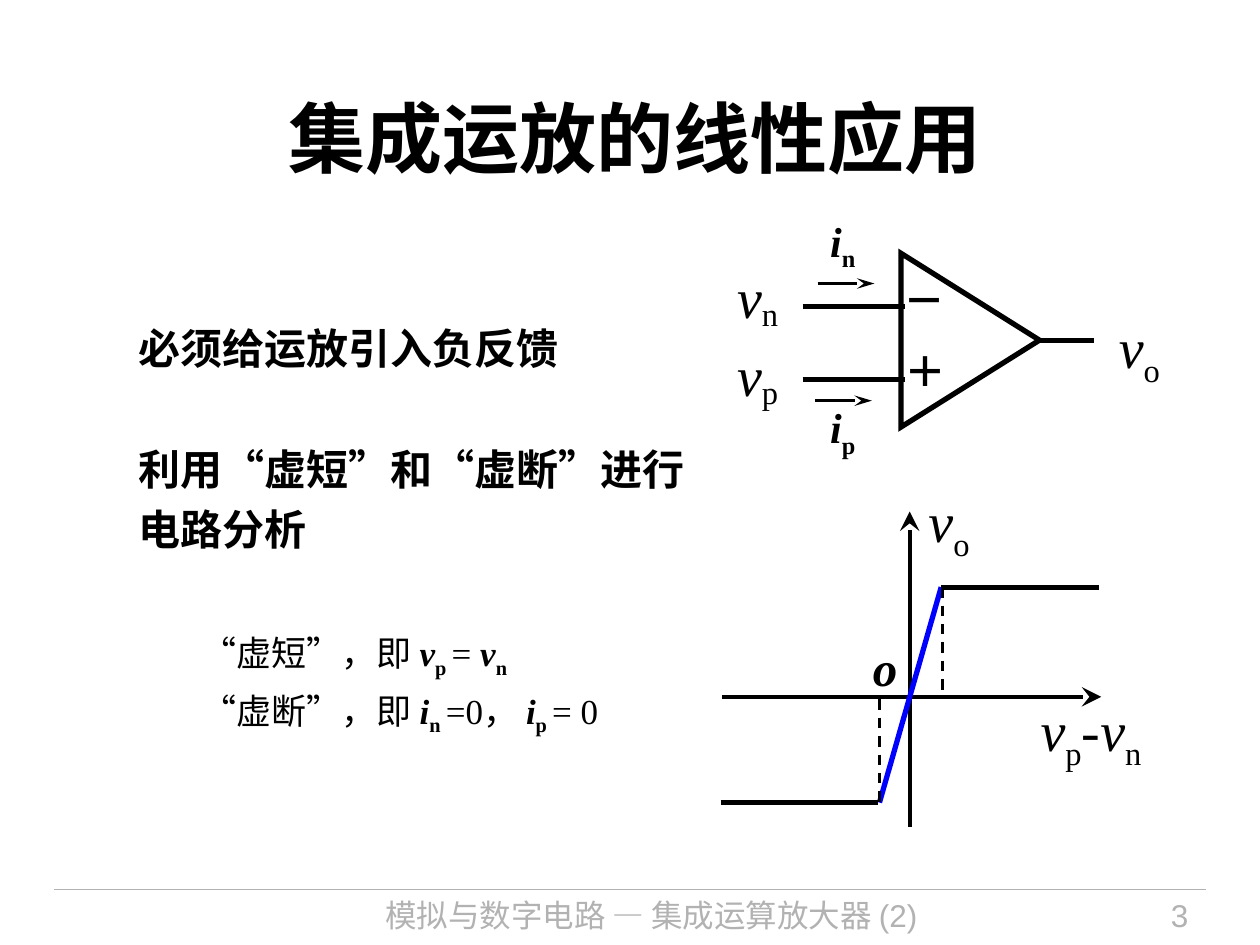
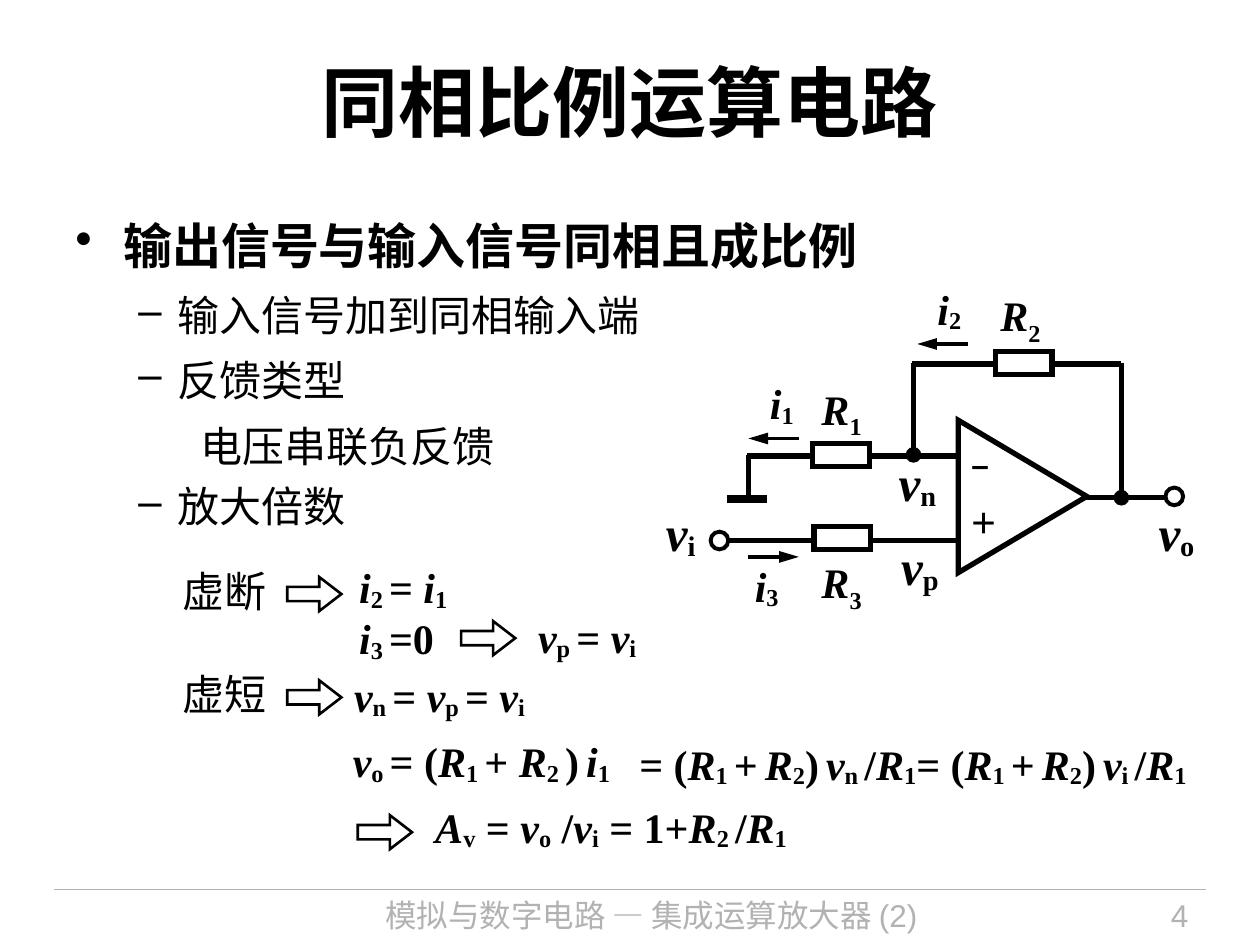
from lxml import etree
from pptx import Presentation
from pptx.dml.color import RGBColor
from pptx.enum.dml import MSO_LINE
from pptx.enum.shapes import MSO_CONNECTOR, MSO_SHAPE
from pptx.enum.text import MSO_ANCHOR, PP_ALIGN
from pptx.oxml.ns import qn
from pptx.util import Inches, Pt

LEFT, CENTER, RIGHT = PP_ALIGN.LEFT, PP_ALIGN.CENTER, PP_ALIGN.RIGHT
TOP, MIDDLE = MSO_ANCHOR.TOP, MSO_ANCHOR.MIDDLE
STRAIGHT, DASH = MSO_CONNECTOR.STRAIGHT, MSO_LINE.DASH
TRIANGLE, RECTANGLE = MSO_SHAPE.ISOSCELES_TRIANGLE, MSO_SHAPE.RECTANGLE
OVAL, RIGHT_ARROW = MSO_SHAPE.OVAL, MSO_SHAPE.RIGHT_ARROW

COLORS = {"ink": "000000", "gray": "B2B2B2", "blue": "0000FF", "paper": "FFFFFF"}
SANS, SERIF, CHINESE = "Arial", "Times New Roman", "Noto Sans CJK SC"
FOOTER = "模拟与数字电路 — 集成运算放大器 (2)"
FIRST_PAGE = 3


def color(name):
    return RGBColor.from_string(COLORS[name])


def add_element(parent, tag, **attributes):
    return etree.SubElement(parent, qn(tag), **attributes)


def write(paragraph, markup, size=24, font=SERIF, ink="ink", bold=False,
          symbol_bold=None, drop=-10, align=LEFT, line_spacing=None,
          before=0, after=0, margin=0, indent=0, bullet=None):
    """Write pieces parted by |, led by * italic, _ subscript, @ Chinese, ~ small."""
    paragraph.alignment = align
    paragraph.space_before, paragraph.space_after = Pt(before), Pt(after)
    if line_spacing:
        paragraph.line_spacing = line_spacing
    properties = paragraph._p.get_or_add_pPr()
    properties.set("marL", str(Inches(margin)))
    properties.set("indent", str(Inches(indent)))
    if bullet:
        add_element(properties, "a:buChar", char=bullet)
    for piece in markup.split("|"):
        mark = piece[0] if piece[0] in "*_@~" else ""
        run = paragraph.add_run()
        run.text = piece[len(mark):]
        run.font.size = Pt(size * 2 / 3 if mark == "~" else size)
        run.font.name = CHINESE if mark == "@" else font
        run.font.color.rgb = color(ink)
        is_symbol = mark in ("*", "_") and symbol_bold is not None
        run.font.bold = symbol_bold if is_symbol else bold
        run.font.italic = mark == "*"
        run_properties = run._r.get_or_add_rPr()
        if mark == "_":
            run_properties.set("baseline", str(drop * 1000))
        add_element(run_properties, "a:ea", typeface=CHINESE)


class Deck:
    def __init__(self):
        self.presentation = Presentation()
        self.presentation.slide_width = Inches(10)
        self.presentation.slide_height = Inches(7.5)
        self.slide = None

    def new_slide(self, title, title_left, title_top):
        slides = self.presentation.slides
        self.slide = slides.add_slide(self.presentation.slide_layouts[6])
        page = FIRST_PAGE + len(slides) - 1
        self.line(0.43, 7.06, 9.57, 7.06, width=0.75, ink="gray")
        footer_style = dict(size=18, font=SANS, ink="gray")
        self.text(2.49, 7.06, 5.36, 0.44, FOOTER, align=CENTER, **footer_style)
        self.text(8.2, 7.06, 1.33, 0.44, str(page), align=RIGHT, **footer_style)
        self.text(title_left, title_top, 9, 1.25, title, size=44, font=SANS,
                  bold=True, align=CENTER, anchor=MIDDLE)

    def frame(self, left, top, width, height, wrap=True, inset=True, anchor=TOP):
        box = self.slide.shapes.add_textbox(
            Inches(left), Inches(top), Inches(width), Inches(height))
        frame = box.text_frame
        frame.word_wrap = wrap
        frame.vertical_anchor = anchor
        if not inset:
            frame.margin_left = frame.margin_right = 0
            frame.margin_top = frame.margin_bottom = 0
        return frame

    def text(self, left, top, width, height, markup, wrap=True, inset=True,
             anchor=TOP, **style):
        frame = self.frame(left, top, width, height, wrap, inset, anchor)
        write(frame.paragraphs[0], markup, **style)
        return frame

    def label(self, left, top, width, height, markup, **style):
        """Text that fits its box closely, without insets."""
        return self.text(left, top, width, height, markup, wrap=False,
                         inset=False, **style)

    def body(self, left, top, width, height, paragraphs, **shared):
        frame = self.frame(left, top, width, height)
        for index, (markup, style) in enumerate(paragraphs):
            paragraph = frame.add_paragraph() if index else frame.paragraphs[0]
            write(paragraph, markup, **{**shared, **style})

    def line(self, x1, y1, x2, y2, width=3, ink="ink", dashed=False, head=None,
             tail=None, end_width="med", end_length="med"):
        connector = self.slide.shapes.add_connector(
            STRAIGHT, Inches(x1), Inches(y1), Inches(x2), Inches(y2))
        connector.line.width = Pt(width)
        connector.line.color.rgb = color(ink)
        if dashed:
            connector.line.dash_style = DASH
        outline = connector.line._get_or_add_ln()
        for tag, kind in (("a:headEnd", head), ("a:tailEnd", tail)):
            if kind:
                add_element(outline, tag, type=kind, w=end_width, len=end_length)
        add_element(connector._element.spPr, "a:effectLst")

    def shape(self, kind, left, top, width, height, line_width=3, fill=None,
              rotation=0, adjustments=()):
        shape = self.slide.shapes.add_shape(
            kind, Inches(left), Inches(top), Inches(width), Inches(height))
        shape.shadow.inherit = False
        shape.rotation = rotation
        for index, value in enumerate(adjustments):
            shape.adjustments[index] = value
        if fill:
            shape.fill.solid()
            shape.fill.fore_color.rgb = color(fill)
        else:
            shape.fill.background()
        shape.line.width = Pt(line_width)
        shape.line.color.rgb = color("ink")
        add_element(shape.line._get_or_add_ln(), "a:miter", lim="800000")

    def amplifier(self, left, top, width, height):
        self.shape(TRIANGLE, left, top, width, height, rotation=90)

    def resistor(self, left, top):
        self.shape(RECTANGLE, left, top, 0.45, 0.18, fill="paper")

    def terminal(self, left, top):
        self.shape(OVAL, left, top, 0.14, 0.14, line_width=2.25, fill="paper")

    def implies(self, left, top):
        self.shape(RIGHT_ARROW, left, top, 0.43, 0.27, line_width=1.5,
                   adjustments=(0.42, 0.65))


def linear_application(deck):
    deck.new_slide("集成运放的线性应用", 0.54, 0.46)
    condition = dict(size=20, bold=False, symbol_bold=True, drop=-25, margin=0.5)
    deck.body(1, 2.43, 4.58, 3.7, [
        ("@必须给运放引入负反馈", {}),
        ("@利用“虚短”和“虚断”进行电路分析", dict(before=34.5)),
        ("@“虚短”，即 |*v|_p |= |*v|_n", dict(before=39, **condition)),
        ("@“虚断”，即 |*i|_n |=0， |*i|_p |= 0", condition),
    ], bold=True, line_spacing=1.2)

    # Transfer characteristic
    axis = dict(width=2.25, tail="stealth", end_width="lg", end_length="lg")
    deck.line(7.22, 6.56, 7.22, 4.06, **axis)
    deck.line(5.73, 5.53, 8.74, 5.53, **axis)
    deck.line(7.47, 4.66, 6.98, 6.37, ink="blue")
    deck.line(7.47, 4.66, 8.72, 4.66)
    deck.line(5.72, 6.37, 6.97, 6.37)
    deck.line(6.98, 5.55, 6.98, 6.39, width=1.5, dashed=True)
    deck.line(7.48, 4.66, 7.48, 5.55, width=1.5, dashed=True)
    variable = dict(size=32, drop=-25)
    deck.text(8.16, 5.29, 1.25, 0.79, "*v|_p|-|*v|_n", line_spacing=1.3, **variable)
    deck.text(6.83, 5.01, 0.4, 0.57, "*o", size=28, bold=True, wrap=False)
    deck.text(7.27, 3.87, 0.72, 0.53, "*v|_o", line_spacing=0.8, **variable)

    # Operational amplifier
    for name, top, sign, sign_left, sign_top, sign_width, wire in (
            ("n", 1.97, "－", 6.98, 2.13, 0.72, 2.43),
            ("p", 2.59, "＋", 6.94, 2.69, 0.81, 3.01)):
        deck.label(5.85, top, 0.34, 0.64, f"*v|_{name}", size=32, drop=-15,
                   line_spacing=1.2)
        deck.label(sign_left, sign_top, sign_width, 0.5, sign, bold=True,
                   align=CENTER, anchor=MIDDLE)
        deck.line(6.37, wire, 7.18, wire)
    deck.label(8.88, 2.36, 0.34, 0.64, "*v|_o", line_spacing=1.2, **variable)
    deck.line(8.25, 2.7, 8.68, 2.7)
    deck.amplifier(7.01, 2.15, 1.38, 1.1)
    for name, top, x, y in (("n", 1.66, 6.49, 2.25), ("p", 3.14, 6.47, 3.18)):
        deck.text(6.49, top, 0.58, 0.5, f"*i|_{name}", bold=True, drop=-25)
        deck.line(x, y, x + 0.45, y, width=2, tail="stealth", end_length="lg")


def noninverting_circuit(deck):
    deck.new_slide("同相比例运算电路", 0.5, 0.17)
    item = dict(margin=0.81, indent=-0.31, bullet="–", after=8)
    deck.body(0.5, 1.66, 6.63, 5.32, [
        ("输出信号与输入信号同相且成比例",
         dict(size=28, bold=True, margin=0.38, indent=-0.38, bullet="•", after=9)),
        ("输入信号加到同相输入端", item),
        ("反馈类型", {**item, "after": 43.5}),
        ("放大倍数", item),
    ], font=SANS)

    # Wires, with junction dots at the feedback ends
    for wire in ((5.93, 3.62, 7.6, 3.62), (5.78, 4.29, 7.59, 4.29),
                 (8.62, 3.95, 9.25, 3.95), (5.94, 3.61, 5.94, 3.95),
                 (7.24, 2.89, 8.9, 2.89)):
        deck.line(*wire)
    deck.line(5.77, 3.96, 6.09, 3.96, width=4.5)
    deck.line(8.9, 2.88, 8.9, 3.95, tail="oval")
    deck.line(7.25, 2.88, 7.25, 3.61, tail="oval")
    deck.terminal(5.64, 4.22)
    deck.terminal(9.25, 3.87)

    for number, left, top, label_left, label_top in (
            (1, 6.45, 3.52, 6.52, 3.04), (2, 7.9, 2.79, 7.94, 2.3),
            (3, 6.46, 4.18, 6.52, 4.42)):
        deck.resistor(left, top)
        deck.label(label_left, label_top, 0.33, 0.4, f"*R|_{number}",
                   bold=True, drop=-25)
    for name, left, top, width in (("p", 7.13, 4.26, 0.32), ("n", 7.11, 3.59, 0.32),
                                   ("o", 9.18, 3.99, 0.3), ("i", 5.28, 3.99, 0.24)):
        deck.label(left, top, width, 0.47, f"*v|_{name}", size=28, bold=True, align=RIGHT)
    for number, left, top, x, y, ends in (
            (1, 6.1, 3, 5.94, 3.48, dict(head="triangle")),
            (2, 7.43, 2.25, 7.28, 2.73, dict(head="triangle")),
            (3, 5.98, 4.45, 5.94, 4.42, dict(tail="triangle"))):
        deck.line(x, y, x + 0.4, y, width=2.25, end_length="lg", **ends)
        deck.label(left, top, 0.2, 0.4, f"*i|_{number}", bold=True, align=RIGHT)
    deck.label(7.71, 3.93, 0.19, 0.4, "+", font=SANS, anchor=MIDDLE)
    deck.label(7.71, 3.53, 0.14, 0.3, "–", size=18, font=SANS, bold=True, anchor=MIDDLE)
    deck.amplifier(7.51, 3.43, 1.21, 1.02)

    # Derivation of the gain
    for left, top, width, words in ((1.49, 3.29, 2.53, "电压串联负反馈"),
                                    (1.35, 4.44, 0.87, "虚断"),
                                    (1.35, 5.26, 0.87, "虚短")):
        deck.text(left, top, width, 0.5, words, font=SANS, align=CENTER, wrap=False)
    for left, top in ((2.28, 4.58), (3.66, 4.93), (2.28, 5.4), (2.84, 6.47)):
        deck.implies(left, top)
    currents = deck.label(2.85, 4.46, 0.82, 0.8, "*i|_2 |= |*i|_1", bold=True)
    write(currents.add_paragraph(), "*i|_3 |=0", bold=True)
    for left, top, width, formula in (
            (4.27, 4.85, 0.81, "*v|_p |= |*v|_i"),
            (2.81, 5.32, 1.49, "*v|_n |= |*v|_p |= |*v|_i"),
            (2.8, 5.84, 2.09, "*v|_o |= (|*R|_1 |+ |*R|_2 |)|~ |*i|_1")):
        deck.label(left, top, width, 0.4, formula, bold=True)
    resistances = "= (|*R|_1 |+|~ |*R|_2|)|~ |"
    deck.text(4.72, 5.81, 5.05, 0.5,
              f"{resistances}*v|_n |/|*R|_1|{resistances}*v|_i |/|*R|_1",
              bold=True, align=CENTER)
    deck.text(3.32, 6.31, 3.06, 0.5, "*A|_v| = |*v|_o| /|*v|_i| = 1+|*R|_2 |/|*R|_1",
              bold=True, align=CENTER, wrap=False)


def main():
    deck = Deck()
    linear_application(deck)
    noninverting_circuit(deck)
    deck.presentation.save("out.pptx")


if __name__ == "__main__":
    main()
